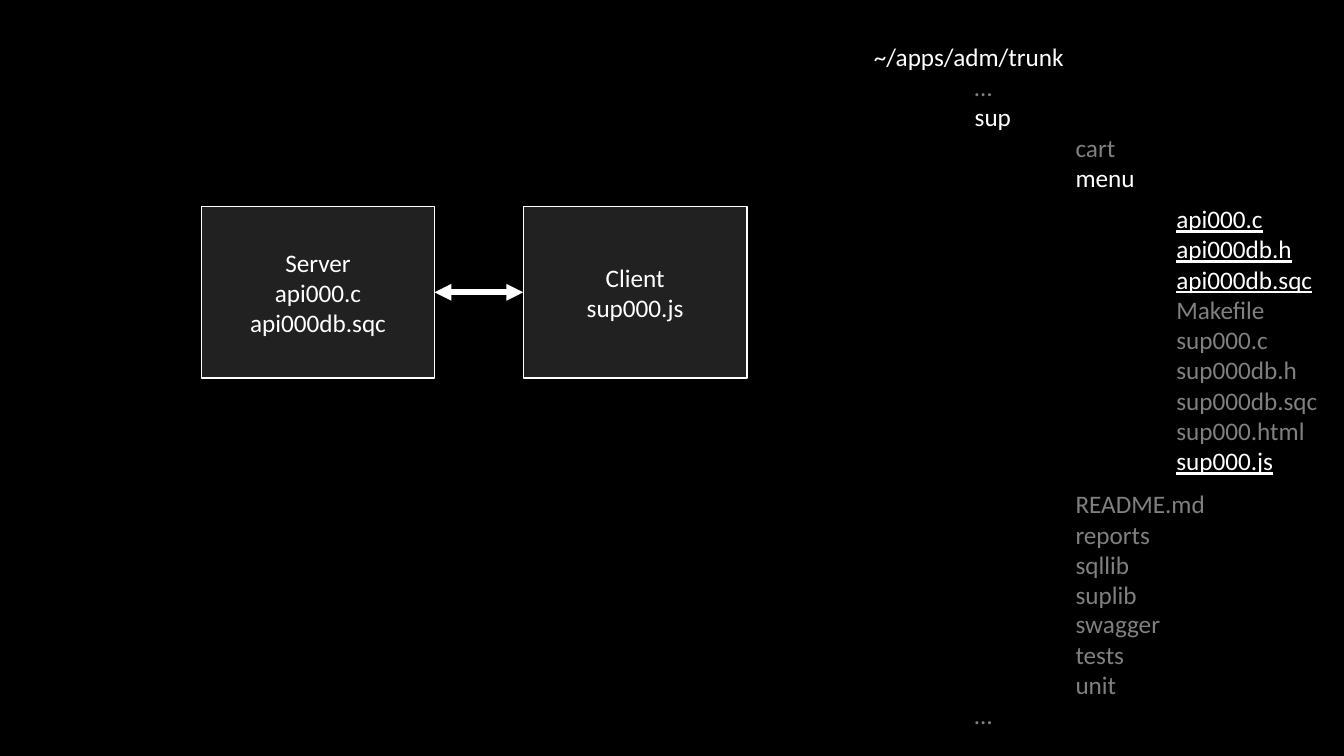
from lxml import etree
from pptx import Presentation
from pptx import util as u
from pptx.dml.color import RGBColor
from pptx.enum import shapes, text
from pptx.oxml import ns

BLACK = RGBColor(0x00, 0x00, 0x00)
WHITE = RGBColor(0xFF, 0xFF, 0xFF)
DIM = RGBColor(0x80, 0x80, 0x80)
PANEL = RGBColor(0xA5, 0xA5, 0xA5)

RIGHT_SIDE, LEFT_SIDE = 3, 1
TREE_LEFT = 64.28

TREE = [
    (4.8, 21.15, 21.6, [
        (0, "~/apps/adm/trunk", WHITE, False),
        (1, "…", DIM, False),
        (1, "sup", WHITE, False),
        (2, "cart", DIM, False),
        (2, "menu", WHITE, False),
    ]),
    (26.27, 34.88, 37.73, [
        (3, "api000.c", WHITE, True),
        (3, "api000db.h", WHITE, True),
        (3, "api000db.sqc", WHITE, True),
        (3, "Makefile", DIM, False),
        (3, "sup000.c", DIM, False),
        (3, "sup000db.h", DIM, False),
        (3, "sup000db.sqc", DIM, False),
        (3, "sup000.html", DIM, False),
        (3, "sup000.js", WHITE, True),
    ]),
    (64, 33.68, 17.47, [
        (2, name, DIM, False)
        for name in ("README.md", "reports", "sqllib", "suplib")
    ]),
    (79.87, 35.7, 17.47, [
        (2, "swagger", DIM, False),
        (2, "tests", DIM, False),
        (2, "unit", DIM, False),
        (1, "…", DIM, False),
    ]),
]


class DiagramSlide:
    font = {"name": "Calibri", "size": u.Pt(18)}

    def __init__(self, presentation):
        self.width = presentation.slide_width
        self.height = presentation.slide_height
        self.slide = presentation.slides.add_slide(presentation.slide_layouts[6])
        self.slide.background.fill.solid()
        self.slide.background.fill.fore_color.rgb = BLACK

    def place(self, left, top, width, height):
        return (
            round(self.width * left / 100),
            round(self.height * top / 100),
            round(self.width * width / 100),
            round(self.height * height / 100),
        )

    def add_lines(self, frame, lines, alignment):
        frame.word_wrap = True
        for index, (depth, words, color, underline) in enumerate(lines):
            paragraph = frame.paragraphs[0] if index == 0 else frame.add_paragraph()
            paragraph.alignment = alignment
            if depth:
                properties = paragraph._p.get_or_add_pPr()
                properties.set("marL", str(u.Inches(depth)))
                properties.set("indent", "0")
            run = paragraph.add_run()
            run.text = words
            for name, value in {**self.font, "underline": underline}.items():
                setattr(run.font, name, value)
            run.font.color.rgb = color

    def tree_part(self, top, width, height, lines):
        shape = self.slide.shapes.add_textbox(
            *self.place(TREE_LEFT, top, width, height))
        self.add_lines(shape.text_frame, lines, text.PP_ALIGN.LEFT)

    def box(self, left, width, names):
        shape = self.slide.shapes.add_shape(
            shapes.MSO_SHAPE.RECTANGLE, *self.place(left, 27.33, width, 22.67))
        shape.shadow.inherit = False
        shape.fill.solid()
        shape.fill.fore_color.rgb = PANEL
        fill_color = shape._element.spPr.find(
            f"{ns.qn('a:solidFill')}/{ns.qn('a:srgbClr')}")
        etree.SubElement(fill_color, ns.qn("a:alpha"), val="20000")
        shape.line.color.rgb = WHITE
        shape.line.width = u.Pt(1)
        shape.text_frame.vertical_anchor = text.MSO_ANCHOR.MIDDLE
        lines = [(0, name, WHITE, False) for name in names]
        self.add_lines(shape.text_frame, lines, text.PP_ALIGN.CENTER)
        return shape

    def double_arrow(self, start, end):
        connector = self.slide.shapes.add_connector(
            shapes.MSO_CONNECTOR.STRAIGHT, 0, 0, 0, 0)
        connector.begin_connect(start, RIGHT_SIDE)
        connector.end_connect(end, LEFT_SIDE)
        connector.line.color.rgb = WHITE
        connector.line.width = u.Pt(4)
        properties = connector._element.spPr
        outline = properties.find(ns.qn("a:ln"))
        for tag in ("a:headEnd", "a:tailEnd"):
            etree.SubElement(outline, ns.qn(tag), type="triangle")
        etree.SubElement(properties, ns.qn("a:effectLst"))


def main():
    presentation = Presentation()
    presentation.slide_width = u.Inches(13.33)
    presentation.slide_height = u.Inches(7.5)
    diagram = DiagramSlide(presentation)
    for part in TREE:
        diagram.tree_part(*part)
    server = diagram.box(15, 17.33, ["Server", "api000.c", "api000db.sqc"])
    client = diagram.box(38.93, 16.65, ["Client", "sup000.js"])
    diagram.double_arrow(server, client)
    presentation.save("out.pptx")


if __name__ == "__main__":
    main()
